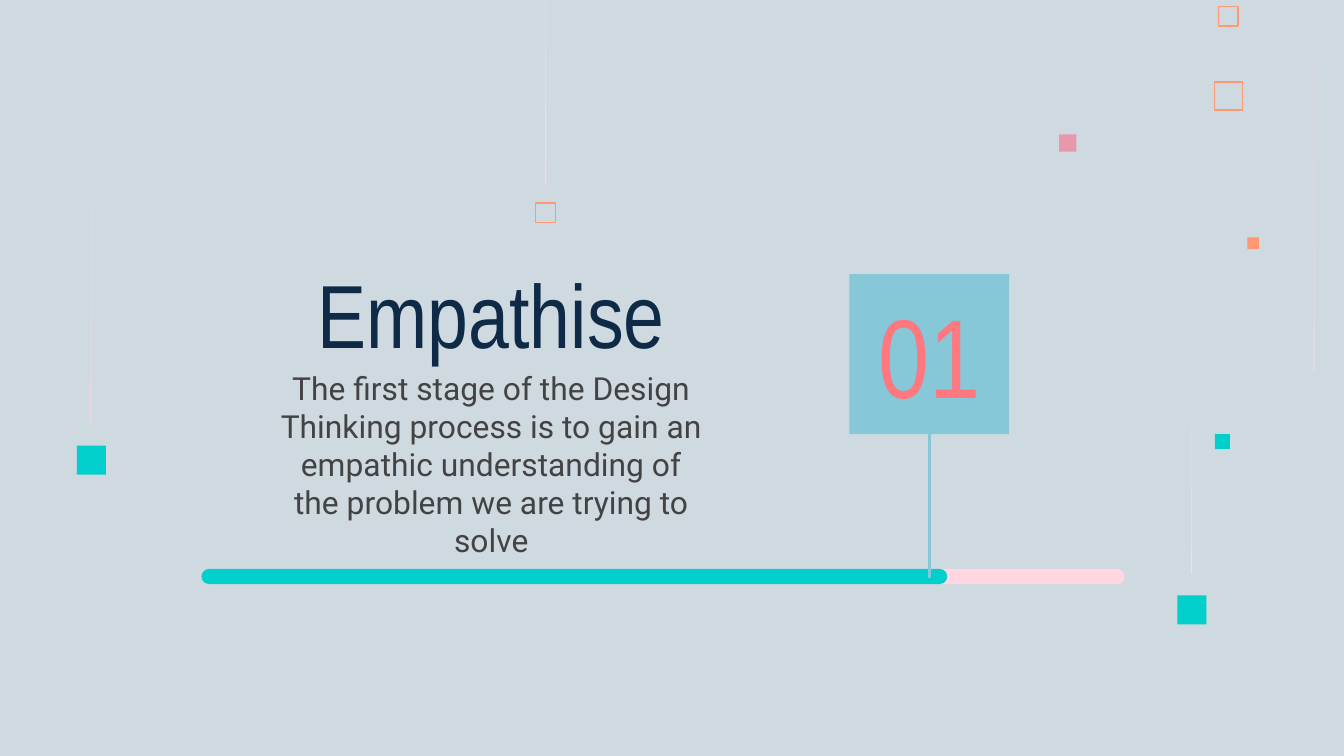
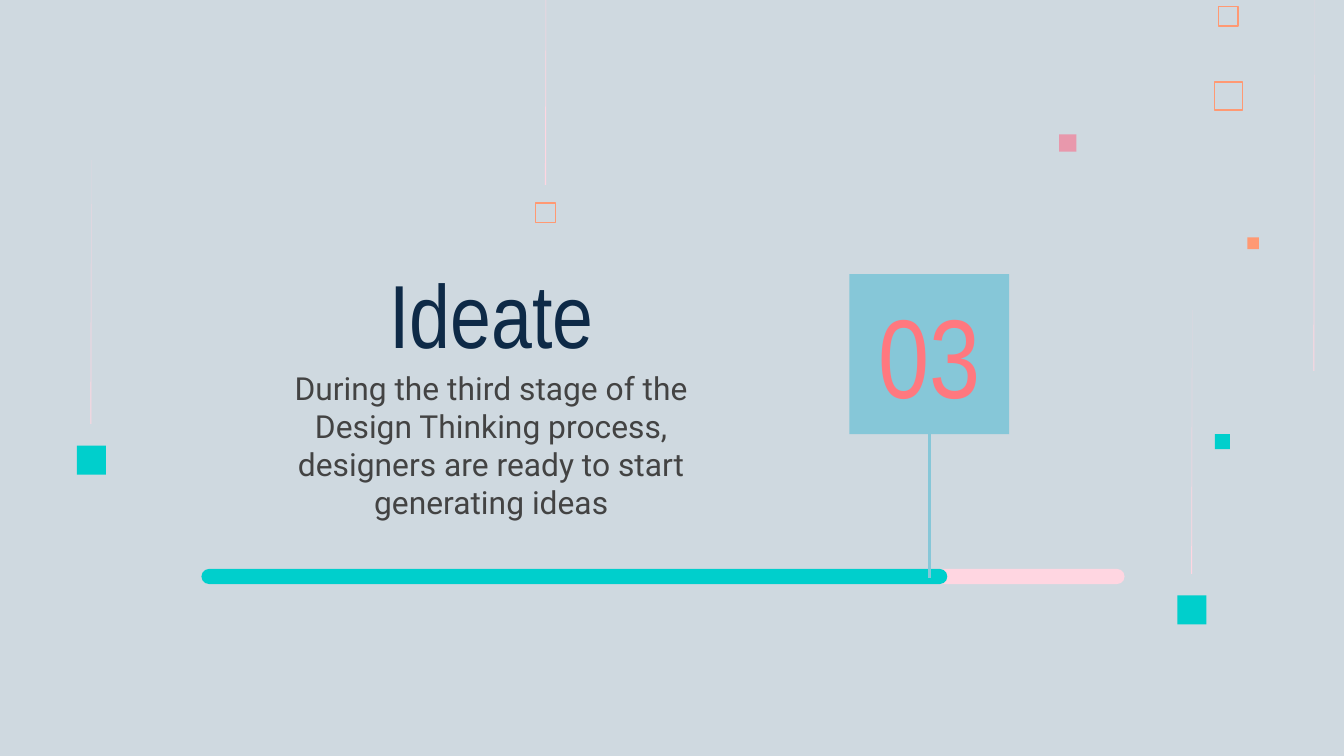
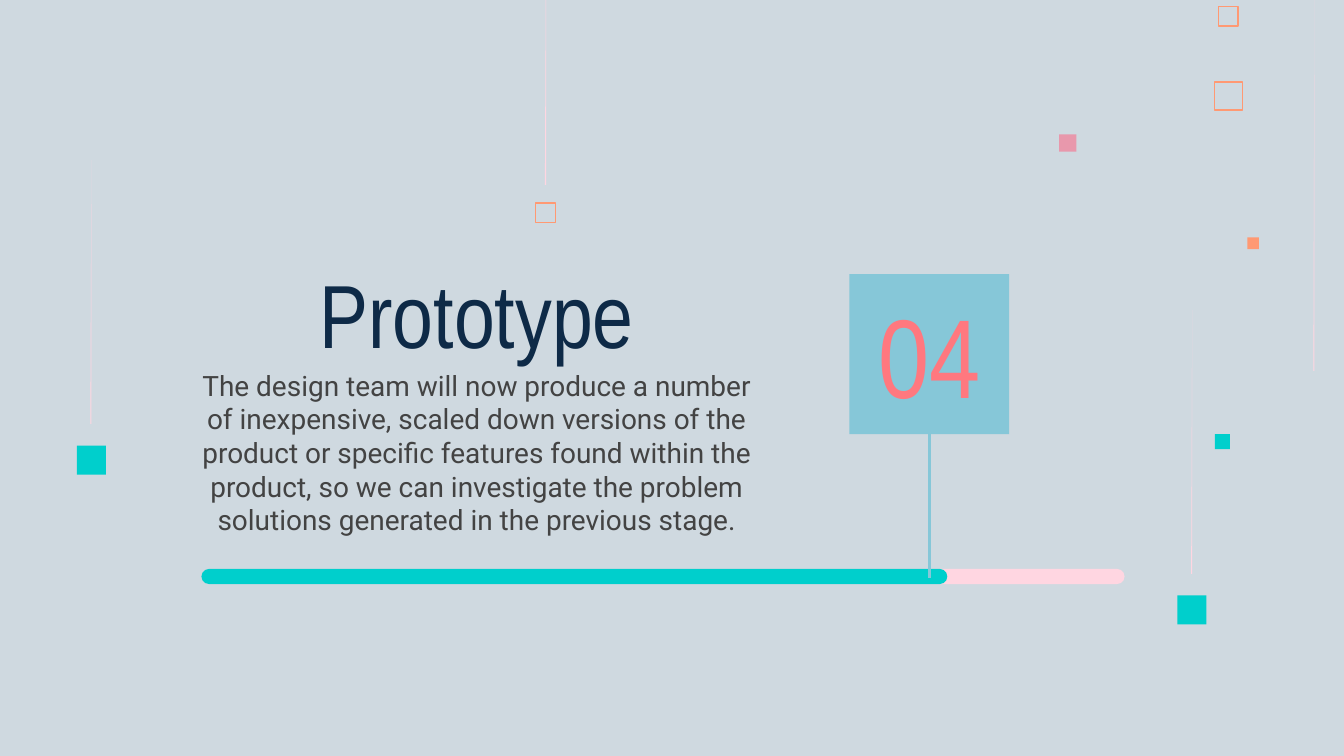
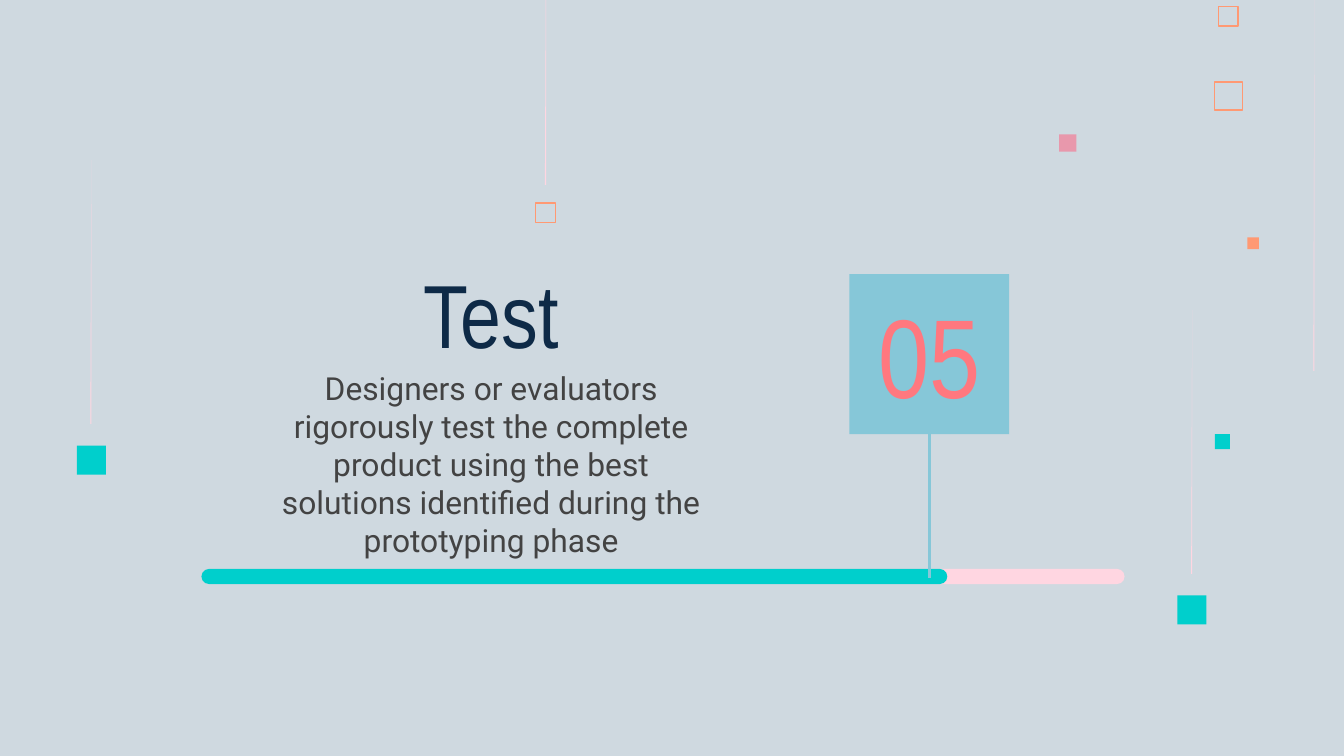
from dataclasses import dataclass

from lxml import etree
from pptx import Presentation
from pptx.dml.color import RGBColor
from pptx.enum.shapes import MSO_CONNECTOR, MSO_SHAPE
from pptx.enum.text import MSO_ANCHOR, MSO_AUTO_SIZE, PP_ALIGN
from pptx.oxml.ns import qn
from pptx.shapes.autoshape import Shape
from pptx.slide import Slide
from pptx.util import Pt

RECT = MSO_SHAPE.RECTANGLE
PILL = MSO_SHAPE.ROUNDED_RECTANGLE
STRAIGHT = MSO_CONNECTOR.STRAIGHT
TOP, MIDDLE, BOTTOM = MSO_ANCHOR.TOP, MSO_ANCHOR.MIDDLE, MSO_ANCHOR.BOTTOM
CENTER = PP_ALIGN.CENTER
NO_FIT = MSO_AUTO_SIZE.NONE

MIST = RGBColor(0xCF, 0xD9, 0xE0)
ROSE = RGBColor(0xE8, 0x98, 0xAC)
BLUSH = RGBColor(0xFF, 0xD6, 0xE1)
TEAL = RGBColor(0x00, 0xCF, 0xCC)
ORANGE = RGBColor(0xFF, 0x99, 0x73)
SKY = RGBColor(0x86, 0xC7, 0xD8)
NAVY = RGBColor(0x0E, 0x2A, 0x47)
CORAL = RGBColor(0xFF, 0x78, 0x7F)
GREY = RGBColor(0x43, 0x43, 0x43)

HEAD_FONT = "Arial Narrow"
BODY_FONT = "Roboto"
INSET = Pt(7.2)


@dataclass(frozen=True)
class Box:
    left: float
    top: float
    width: float
    height: float


@dataclass(frozen=True)
class Style:
    font: str
    size: float
    color: RGBColor
    anchor: MSO_ANCHOR


@dataclass(frozen=True)
class Square:
    left: float
    top: float
    side: float
    color: RGBColor
    hollow: bool = False


@dataclass(frozen=True)
class Streak:
    left: float
    top: float
    height: float


@dataclass(frozen=True)
class Stage:
    number: str
    title: str
    body: str
    center: float = 263.2
    width: float = 244.1
    size: float = 17


SQUARES = [
    Square(567.4, 72, 9.3, ROSE),
    Square(650.9, 232.6, 8, TEAL),
    Square(650.6, 43.9, 15, ORANGE, hollow=True),
    Square(652.8, 3.5, 10.5, ORANGE, hollow=True),
    Square(668.2, 127.2, 6.3, ORANGE),
    Square(287, 108.8, 10.6, ORANGE, hollow=True),
    Square(630.7, 319, 15.6, TEAL),
    Square(41.2, 238.8, 15.6, TEAL),
]
STREAKS = [
    Streak(291.9, -34.6, 133.6),
    Streak(703.6, 0, 198.7),
    Streak(638.1, 166.2, 141.3),
    Streak(48.4, 85.8, 141.3),
]
STREAK_WIDTH = 0.6

BADGE = Box(455, 146.9, 85.7, 85.7)
NUMBER = Box(459.35, 167, 77, 45.4)
TRACK = Box(107.9, 304.8, 494.6, 8.1)
DONE = Box(107.9, 304.8, 399.6, 8.1)
STEM_END = 309.6
TITLE_TOP, TITLE_WIDTH, TITLE_HEIGHT = 137.5, 216.7, 66.2
BODY_TOP, BODY_HEIGHT = 190.1, 82.8

STAGES = [
    Stage("01", "Empathise",
          "The first stage of the Design Thinking process is to gain an "
          "empathic understanding of the problem we are trying to solve"),
    Stage("03", "Ideate",
          "During the third stage of the Design Thinking process, designers "
          "are ready to start generating ideas"),
    Stage("04", "Prototype",
          "The design team will now produce a number of inexpensive, scaled "
          "down versions of the product or specific features found within "
          "the product, so we can investigate the problem solutions "
          "generated in the previous stage.",
          center=255.4, width=322.6, size=15),
    Stage("05", "Test",
          "Designers or evaluators rigorously test the complete product "
          "using the best solutions identified during the prototyping phase"),
]


def place(shape: Shape, box: Box) -> None:
    shape.left, shape.top = Pt(box.left), Pt(box.top)
    shape.width, shape.height = Pt(box.width), Pt(box.height)


def paint(shape: Shape, color: RGBColor, hollow: bool = False) -> None:
    """Fill the shape, or only outline it when hollow."""
    shape.shadow.inherit = False
    if hollow:
        shape.fill.background()
        shape.line.color.rgb = color
        shape.line.width = Pt(0.75)
    else:
        shape.fill.solid()
        shape.fill.fore_color.rgb = color
        shape.line.fill.background()


def add_block(slide: Slide, kind: MSO_SHAPE, box: Box, color: RGBColor,
              hollow: bool = False) -> Shape:
    shape = slide.shapes.add_shape(kind, Pt(box.left), Pt(box.top),
                                   Pt(box.width), Pt(box.height))
    paint(shape, color, hollow)
    return shape


def add_streak(slide: Slide, streak: Streak) -> None:
    """Draw a sliver that tapers to a point at its top."""
    right = Pt(streak.left + STREAK_WIDTH)
    base = Pt(streak.top + streak.height)
    pen = slide.shapes.build_freeform(right, Pt(streak.top))
    pen.add_line_segments([(Pt(streak.left), base), (right, base)])
    paint(pen.convert_to_shape(), BLUSH)


def add_pill(slide: Slide, box: Box, color: RGBColor) -> None:
    add_block(slide, PILL, box, color).adjustments[0] = 0.5


def add_stem(slide: Slide, badge: Shape) -> None:
    x = Pt(BADGE.left + BADGE.width / 2)
    stem = slide.shapes.add_connector(
        STRAIGHT, x, Pt(BADGE.top + BADGE.height), x, Pt(STEM_END))
    stem.begin_connect(badge, 2)
    stem.line.color.rgb = SKY
    stem.line.width = Pt(1.5)
    etree.SubElement(stem._element.spPr, qn("a:effectLst"))


def write(shape: Shape, text: str, box: Box, style: Style) -> None:
    place(shape, box)
    frame = shape.text_frame
    frame.text = text
    frame.word_wrap = True
    frame.auto_size = NO_FIT
    frame.vertical_anchor = style.anchor
    frame.margin_left = frame.margin_right = INSET
    frame.margin_top = frame.margin_bottom = INSET
    for para in frame.paragraphs:
        para.alignment = CENTER
        para.space_before = Pt(0)
        for run in para.runs:
            run.font.name = style.font
            run.font.size = Pt(style.size)
            run.font.color.rgb = style.color


def add_decor(slide: Slide) -> None:
    for item in SQUARES:
        box = Box(item.left, item.top, item.side, item.side)
        add_block(slide, RECT, box, item.color, item.hollow)
    for streak in STREAKS:
        add_streak(slide, streak)


def add_stage(slide: Slide, stage: Stage) -> None:
    add_decor(slide)
    write(slide.shapes.title, stage.title,
          Box(stage.center - TITLE_WIDTH / 2, TITLE_TOP,
              TITLE_WIDTH, TITLE_HEIGHT),
          Style(HEAD_FONT, 48, NAVY, BOTTOM))
    write(slide.placeholders[1], stage.body,
          Box(stage.center - stage.width / 2, BODY_TOP,
              stage.width, BODY_HEIGHT),
          Style(BODY_FONT, stage.size, GREY, TOP))
    badge = add_block(slide, RECT, BADGE, SKY)
    label = slide.shapes.add_textbox(0, 0, 0, 0)
    write(label, stage.number, NUMBER, Style(HEAD_FONT, 60, CORAL, MIDDLE))
    add_pill(slide, TRACK, BLUSH)
    add_pill(slide, DONE, TEAL)
    add_stem(slide, badge)


def main() -> None:
    deck = Presentation()
    deck.slide_width, deck.slide_height = Pt(720), Pt(405)
    ground = deck.slide_master.background.fill
    ground.solid()
    ground.fore_color.rgb = MIST
    for stage in STAGES:
        add_stage(deck.slides.add_slide(deck.slide_layouts[0]), stage)
    deck.save("out.pptx")


if __name__ == "__main__":
    main()
